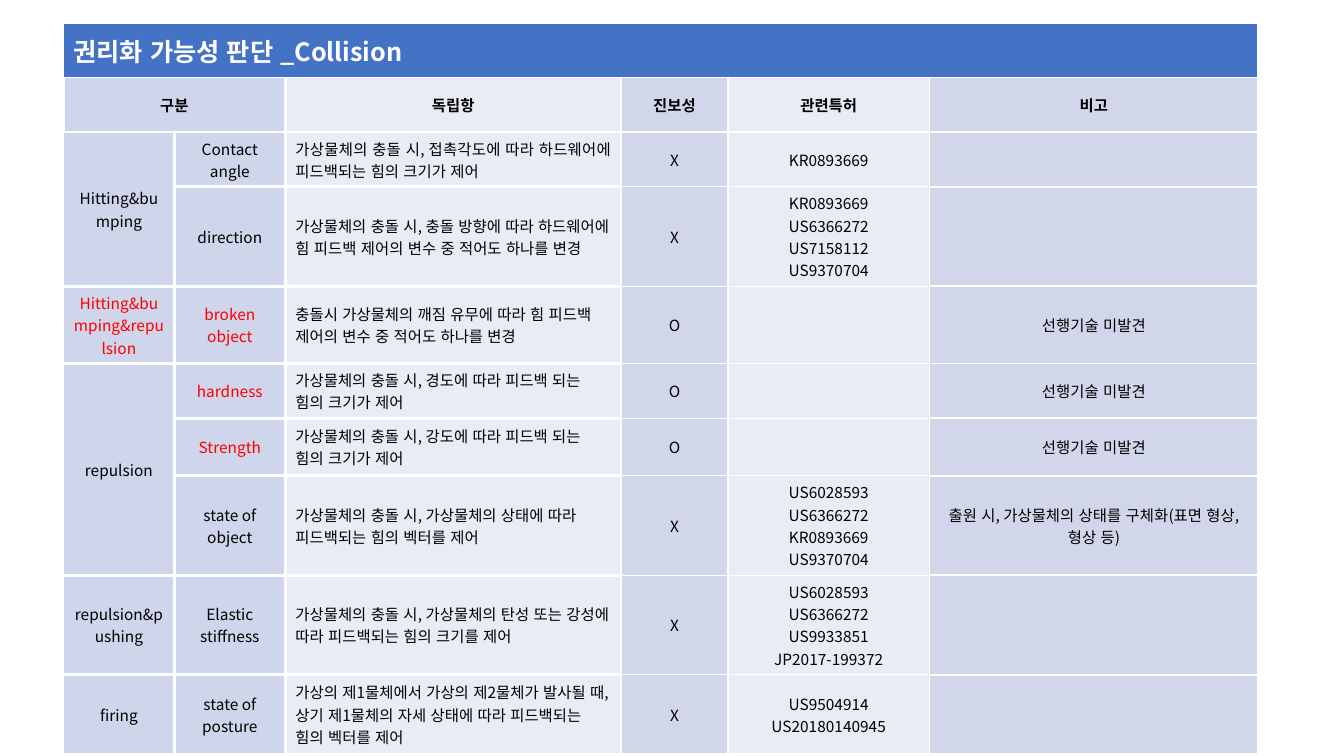
"""Build the Collision patent table slide."""
import dataclasses

import lxml.etree
import pptx
import pptx.dml.color
import pptx.enum.lang
import pptx.enum.text
import pptx.oxml.ns
import pptx.table
import pptx.util

Color = pptx.dml.color.RGBColor
Inches = pptx.util.Inches
Align = pptx.enum.text.PP_ALIGN

FONT = "Noto Sans CJK KR"
WHITE = Color(0xFF, 0xFF, 0xFF)
BLACK = Color(0, 0, 0)
RED = Color(0xFF, 0, 0)
BLUE = Color(0x44, 0x72, 0xC4)
LABEL = Color(0xCF, 0xD5, 0xEA)
PALE = Color(0xE9, 0xEB, 0xF5)
SHADE = Color(0xD2, 0xD6, 0xEA)

WIDTHS = (1.1, 1.1, 3.33, 1.06, 2, 3.26)
HEIGHTS = (0.54, 0.54, 0.52, 0.93, 0.52, 0.52, 0.57, 0.57, 0.54, 0.79)


@dataclasses.dataclass(frozen=True)
class Column:
    """Look of one column, with edges as left, right, top, bottom."""
    fill: Color
    edges: tuple[float, float, float, float]
    align: Align = Align.CENTER


@dataclasses.dataclass(frozen=True)
class Claim:
    """One row of the table body."""
    group: str
    topic: str
    claim: str
    novel: str
    patents: str = ""
    note: str = ""
    hot: tuple[int, ...] = ()
    align: Align = Align.LEFT


COLUMNS = (
    Column(LABEL, (1, 2.25, 2.25, 2.25)),
    Column(LABEL, (2.25, 2.25, 2.25, 2.25)),
    Column(PALE, (2.25, 1, 2.25, 2.25), Align.LEFT),
    Column(SHADE, (1, 1, 1, 1)),
    Column(PALE, (1, 1, 1, 1)),
    Column(SHADE, (1, 1.5, 1.5, 1.5)),
)

HEADS = ("구분", "", "독립항", "진보성", "관련특허", "비고")
NONE = "선행기술 미발견"

CLAIMS = (
    Claim("Hitting&bumping", "Contact angle",
          "가상물체의 충돌 시, 접촉각도에 따라 하드웨어에 피드백되는 힘의 크기가 제어",
          "X", "KR0893669", align=Align.JUSTIFY),
    Claim("", "direction",
          "가상물체의 충돌 시, 충돌 방향에 따라 하드웨어에 힘 피드백 제어의 변수 중 적어도 하나를 변경",
          "X", "KR0893669\nUS6366272\nUS7158112\nUS9370704"),
    Claim("Hitting&bumping&repulsion", "broken object",
          "충돌시 가상물체의 깨짐 유무에 따라 힘 피드백 제어의 변수 중 적어도 하나를 변경",
          "O", note=NONE, hot=(0, 1)),
    Claim("repulsion", "hardness",
          "가상물체의 충돌 시, 경도에 따라 피드백 되는 힘의 크기가 제어",
          "O", note=NONE, hot=(1,)),
    Claim("", "Strength",
          "가상물체의 충돌 시, 강도에 따라 피드백 되는 힘의 크기가 제어",
          "O", note=NONE, hot=(1,)),
    Claim("", "state of object",
          "가상물체의 충돌 시, 가상물체의 상태에 따라 피드백되는 힘의 벡터를 제어",
          "X", "US6028593\nUS6366272\nKR0893669\nUS9370704",
          "출원 시, 가상물체의 상태를 구체화(표면 형상, 형상 등)"),
    Claim("repulsion&pushing", "Elastic stiffness",
          "가상물체의 충돌 시, 가상물체의 탄성 또는 강성에 따라 피드백되는 힘의 크기를 제어",
          "X", "US6028593\nUS6366272\nUS9933851\nJP2017-199372"),
    Claim("firing", "state of posture",
          "가상의 제1물체에서 가상의 제2물체가 발사될 때, 상기 제1물체의 자세 상태에 따라 "
          "피드백되는 힘의 벡터를 제어",
          "X", "US9504914\nUS20180140945"),
)


def style(font: pptx.text.text.Font, size: float, color: Color, bold: bool) -> None:
    """Set size, colour, weight and both typefaces of a font."""
    font.size = pptx.util.Pt(size)
    font.bold = bold
    font.color.rgb = color
    font.name = FONT
    font.language_id = pptx.enum.lang.MSO_LANGUAGE_ID.KOREAN


def write(cell: pptx.table._Cell, text: str, align: Align, size: float = 11,
          color: Color = BLACK, bold: bool = False) -> None:
    """Fill a cell with one paragraph per line of text."""
    cell.vertical_anchor = pptx.enum.text.MSO_ANCHOR.MIDDLE
    frame = cell.text_frame
    for place, line in enumerate(text.split("\n")):
        para = frame.add_paragraph() if place else frame.paragraphs[0]
        para.alignment = align
        if not line:
            style(para.font, size, color, bold)
            continue
        run = para.add_run()
        run.text = line
        style(run.font, size, color, bold)
        latin = run._r.rPr.find(pptx.oxml.ns.qn("a:latin"))
        east = lxml.etree.Element(pptx.oxml.ns.qn("a:ea"), typeface=FONT)
        latin.addnext(east)


def paint(cell: pptx.table._Cell, fill: Color, edges: tuple[float, ...]) -> None:
    """Give a cell white borders and a solid fill."""
    props = cell._tc.get_or_add_tcPr()
    for side, width in zip("LRTB", edges):
        edge = lxml.etree.SubElement(props, pptx.oxml.ns.qn(f"a:ln{side}"),
                                     w=str(int(pptx.util.Pt(width))))
        solid = lxml.etree.SubElement(edge, pptx.oxml.ns.qn("a:solidFill"))
        lxml.etree.SubElement(solid, pptx.oxml.ns.qn("a:srgbClr"), val=str(WHITE))
    cell.fill.solid()
    cell.fill.fore_color.rgb = fill


def main() -> None:
    """Draw the table and save the deck."""
    deck = pptx.Presentation()
    deck.slide_width, deck.slide_height = Inches(13.33), Inches(7.5)
    slide = deck.slides.add_slide(deck.slide_layouts[6])
    table = slide.shapes.add_table(
        len(HEIGHTS), len(WIDTHS), Inches(0.63), Inches(0.23),
        Inches(sum(WIDTHS)), Inches(sum(HEIGHTS))).table
    table.first_row = table.horz_banding = False
    for column, width in zip(table.columns, WIDTHS):
        column.width = Inches(width)
    for row, height in zip(table.rows, HEIGHTS):
        row.height = Inches(height)

    for top, left, end, right in ((0, 0, 0, 5), (1, 0, 1, 1), (2, 0, 3, 0), (5, 0, 7, 0)):
        table.cell(top, left).merge(table.cell(end, right))

    for index, look in enumerate(COLUMNS):
        paint(table.cell(0, index), BLUE, (1.5,) * 4)
        head = table.cell(1, index)
        paint(head, look.fill, (2.25, 2.25, 1.5, 2.25) if index < 2 else (1.5,) * 4)
        write(head, HEADS[index], Align.CENTER, bold=True)
    write(table.cell(0, 0), "권리화 가능성 판단 _Collision", Align.LEFT, 18, WHITE, True)

    for row, claim in enumerate(CLAIMS, 2):
        texts = (claim.group, claim.topic, claim.claim,
                 claim.novel, claim.patents, claim.note)
        for index, (look, text) in enumerate(zip(COLUMNS, texts)):
            cell = table.cell(row, index)
            last = row == len(HEIGHTS) - 1
            paint(cell, look.fill, look.edges[:3] + (2.25 if last else look.edges[3],))
            write(cell, text, claim.align if index == 2 else look.align,
                  color=RED if index in claim.hot else BLACK)
    deck.save("out.pptx")


if __name__ == "__main__":
    main()
